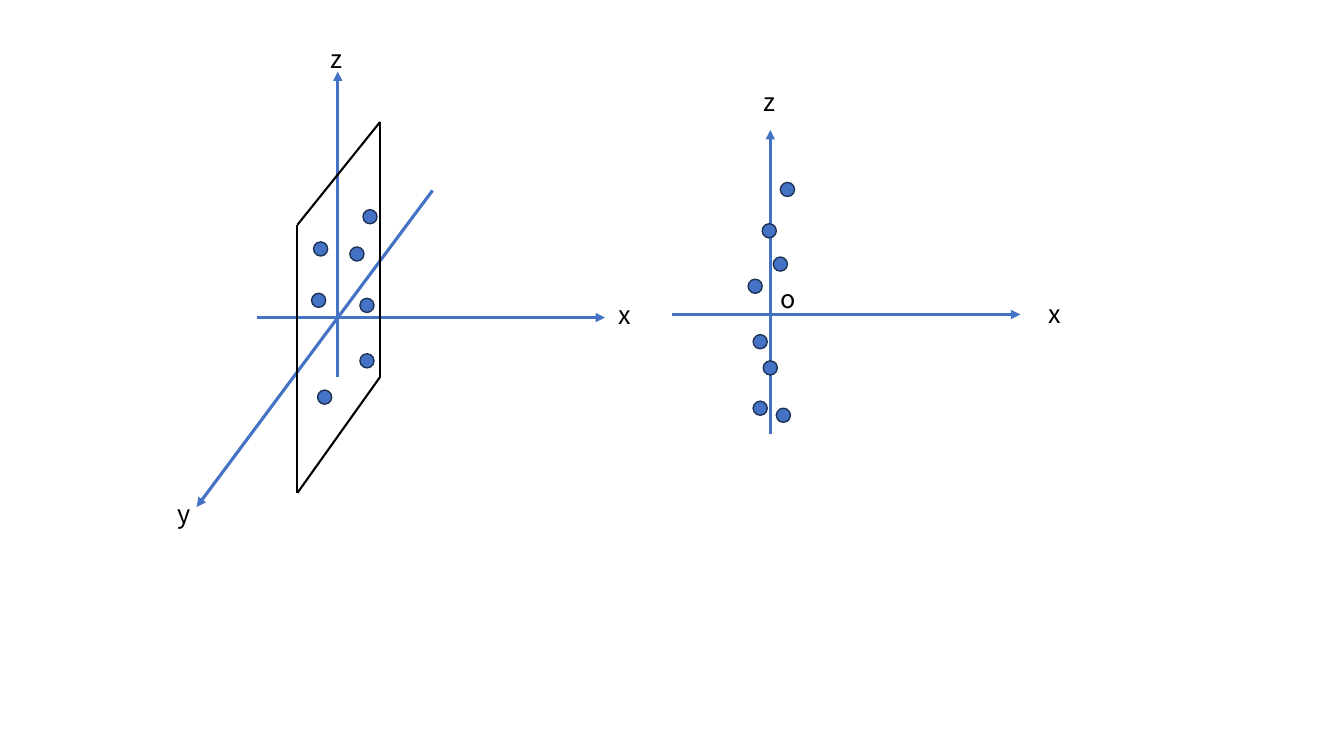
from dataclasses import dataclass

from pptx import Presentation
from pptx.dml.color import RGBColor
from pptx.enum.shapes import MSO_CONNECTOR, MSO_SHAPE
from pptx.enum.text import MSO_AUTO_SIZE
from pptx.oxml.ns import qn
from pptx.oxml.xmlchemy import OxmlElement
from pptx.shapes.connector import Connector
from pptx.slide import Slide
from pptx.util import Inches, Pt

COLORS = {"axis": "4472C4", "dot_edge": "1E3256", "ink": "000000"}
LABEL_FONT = {"name": "Noto Sans CJK SC", "size": Pt(18)}
LABEL_FRAME = {"word_wrap": True, "auto_size": MSO_AUTO_SIZE.SHAPE_TO_FIT_TEXT}
LABEL_WIDTH, LABEL_HEIGHT = 0.48, 0.4
DOT_SIZE = 0.14

Point = tuple[float, float]


@dataclass(frozen=True)
class Label:
    text: str
    corner: Point


@dataclass(frozen=True)
class Axis:
    start: Point
    tip: Point


@dataclass(frozen=True)
class View:
    axes: list[Axis]
    plane: list[Point]
    dots: list[Point]
    labels: list[Label]


# Oblique view: points lying near the y-z plane
SPACE_VIEW = View(
    axes=[
        Axis((2.55, 3.15), (6, 3.15)),
        Axis((4.29, 1.89), (1.95, 5.03)),
        Axis((3.35, 3.74), (3.35, 0.71)),
    ],
    plane=[(3.77, 1.21), (2.95, 2.23), (2.95, 4.89), (3.77, 3.74)],
    dots=[(3.6, 2.08), (3.11, 2.4), (3.47, 2.45), (3.57, 3.51),
          (3.09, 2.91), (3.15, 3.87), (3.57, 2.96)],
    labels=[Label("x", (6.04, 2.92)), Label("y", (1.66, 4.89)), Label("z", (3.18, 0.38))],
)

# Side view: the same kind of points seen in x and z
SIDE_VIEW = View(
    axes=[Axis((6.67, 3.12), (10.12, 3.12)), Axis((7.64, 4.31), (7.64, 1.29))],
    plane=[],
    dots=[(7.74, 1.81), (7.56, 2.22), (7.57, 3.58), (7.47, 3.32),
          (7.42, 2.77), (7.67, 2.55), (7.47, 3.98), (7.7, 4.05)],
    labels=[Label("x", (10.3, 2.91)), Label("z", (7.47, 0.81)), Label("o", (7.64, 2.76))],
)


def rgb(role: str) -> RGBColor:
    return RGBColor.from_string(COLORS[role])


def draw_line(slide: Slide, start: Point, end: Point, role: str, width: float) -> Connector:
    line = slide.shapes.add_connector(
        MSO_CONNECTOR.STRAIGHT, *(Inches(value) for value in (*start, *end))
    )
    line.line.color.rgb = rgb(role)
    line.line.width = Pt(width)
    line._element.spPr.append(OxmlElement("a:effectLst"))
    return line


def draw_axis(slide: Slide, axis: Axis) -> None:
    line = draw_line(slide, axis.start, axis.tip, "axis", 2.25)
    arrowhead = OxmlElement("a:tailEnd")
    arrowhead.set("type", "triangle")
    line._element.spPr.find(qn("a:ln")).append(arrowhead)


def draw_dot(slide: Slide, corner: Point) -> None:
    dot = slide.shapes.add_shape(
        MSO_SHAPE.OVAL, *(Inches(value) for value in (*corner, DOT_SIZE, DOT_SIZE))
    )
    dot.shadow.inherit = False
    dot.fill.solid()
    dot.fill.fore_color.rgb = rgb("axis")
    dot.line.color.rgb = rgb("dot_edge")
    dot.line.width = Pt(1)


def draw_label(slide: Slide, label: Label) -> None:
    frame = slide.shapes.add_textbox(
        *(Inches(value) for value in (*label.corner, LABEL_WIDTH, LABEL_HEIGHT))
    ).text_frame
    for name, value in LABEL_FRAME.items():
        setattr(frame, name, value)
    letter = frame.paragraphs[0].add_run()
    letter.text = label.text
    for name, value in LABEL_FONT.items():
        setattr(letter.font, name, value)
    letter.font.color.rgb = rgb("ink")


def draw_view(slide: Slide, view: View) -> None:
    for axis in view.axes:
        draw_axis(slide, axis)
    # Plane outline, closed back to its first corner
    for start, end in zip(view.plane, view.plane[1:] + view.plane[:1]):
        draw_line(slide, start, end, "ink", 1.5)
    for label in view.labels:
        draw_label(slide, label)
    for corner in view.dots:
        draw_dot(slide, corner)


def main() -> None:
    presentation = Presentation()
    presentation.slide_width = Inches(13.33)
    presentation.slide_height = Inches(7.5)
    slide = presentation.slides.add_slide(presentation.slide_layouts[6])
    for view in (SPACE_VIEW, SIDE_VIEW):
        draw_view(slide, view)
    presentation.save("out.pptx")


if __name__ == "__main__":
    main()
